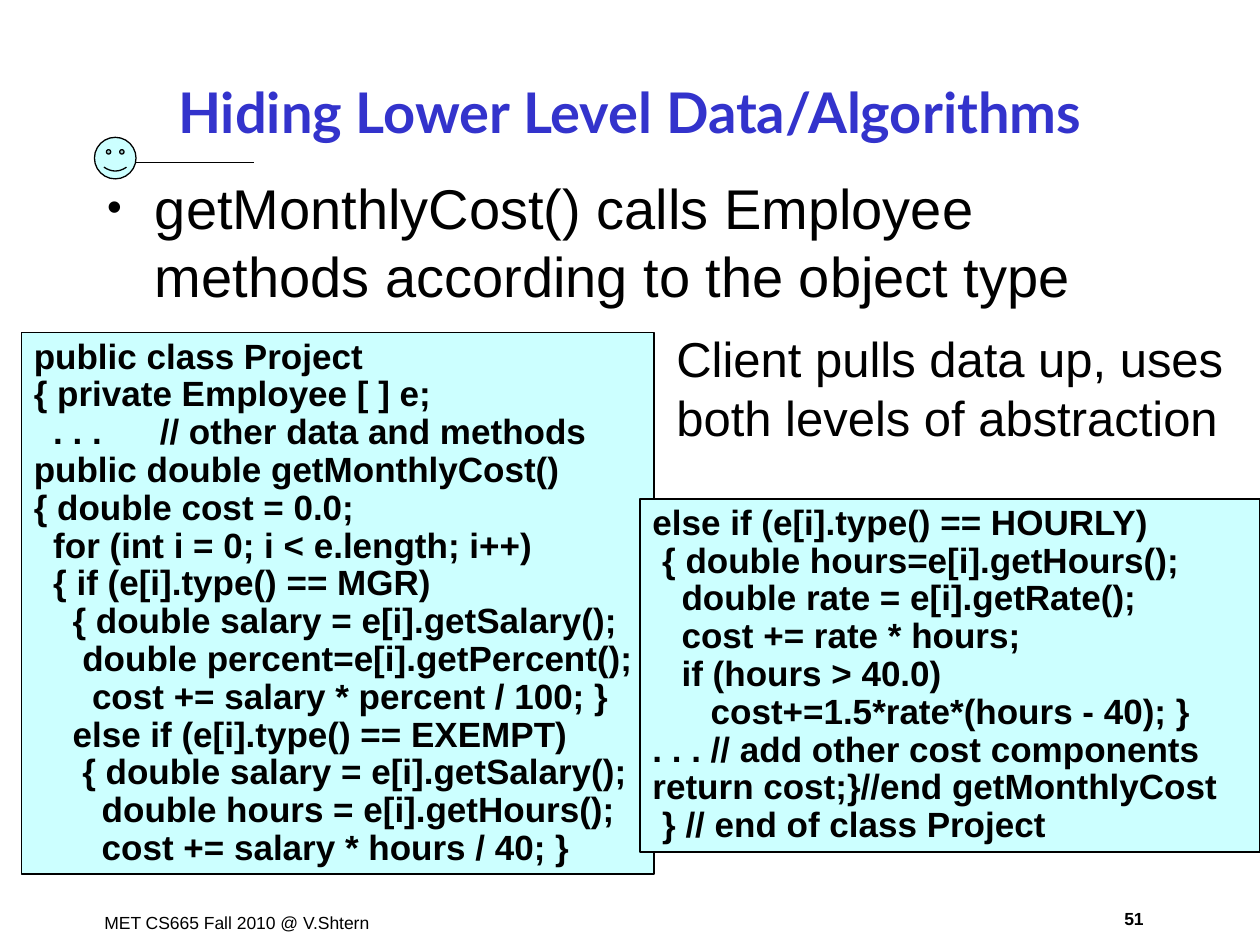
import pptx
import pptx.util
import pptx.dml.color
import pptx.enum.shapes
import pptx.enum.text
import lxml.etree
from dataclasses import dataclass

Inches, Pt = pptx.util.Inches, pptx.util.Pt
Align = pptx.enum.text.PP_ALIGN
Shape = pptx.enum.shapes.MSO_SHAPE


@dataclass(frozen=True)
class Theme:
    ink: str = "000000"
    heading: str = "3333CC"
    panel: str = "CCFFFF"
    title_font: str = "Lato"
    text_font: str = "Arial"
    title_size: int = 32
    body_size: int = 32
    remark_size: int = 28
    code_size: int = 20
    footer_size: int = 10
    code_space: float = 0.077  # width in inches of one space at code_size


THEME = Theme()
TITLE = "Hiding Lower Level Data/Algorithms"
BODY = "getMonthlyCost() calls Employee methods according to the object type"
REMARK = "Client pulls data up, uses both levels of abstraction"
FOOTER = "MET CS665 Fall 2010 @ V.Shtern"
PAGE_NUMBER = "51"

# Each code line is (indent in spaces, text); a tab leads to COMMENT_STOP.
COMMENT_STOP = 1.23
PROJECT_CODE = [
    (0, "public class Project"),
    (0, "{ private Employee [ ] e;"),
    (2, ". . .\t// other data and methods"),
    (0, "public double getMonthlyCost()"),
    (0, "{ double cost = 0.0;"),
    (2, "for (int i = 0; i < e.length; i++)"),
    (2, "{ if (e[i].type() == MGR)"),
    (4, "{ double salary = e[i].getSalary();"),
    (5, "double percent=e[i].getPercent();"),
    (6, "cost += salary * percent / 100; }"),
    (4, "else if (e[i].type() == EXEMPT)"),
    (5, "{ double salary = e[i].getSalary();"),
    (7, "double hours = e[i].getHours();"),
    (7, "cost += salary * hours / 40; }"),
]
HOURLY_CODE = [
    (0, "else if (e[i].type() == HOURLY)"),
    (1, "{ double hours=e[i].getHours();"),
    (3, "double rate = e[i].getRate();"),
    (3, "cost += rate * hours;"),
    (3, "if (hours > 40.0)"),
    (6, "cost+=1.5*rate*(hours - 40); }"),
    (0, ". . . // add other cost components"),
    (0, "return cost;}//end getMonthlyCost"),
    (1, "} // end of class Project"),
]


def color(value):
    return pptx.dml.color.RGBColor.from_string(value)


def inches(*lengths):
    return [Inches(length) for length in lengths]


def place(shape, area):
    shape.left, shape.top, shape.width, shape.height = inches(*area)


def add_xml(parent, tag, **attributes):
    name = pptx.oxml.ns.qn(tag)
    return lxml.etree.SubElement(parent, name, attributes)


def write(para, text, size, font=THEME.text_font, ink=THEME.ink, bold=False):
    span = para.add_run()
    span.text = text
    span.font.size = Pt(size)
    span.font.name = font
    span.font.bold = bold
    span.font.color.rgb = color(ink)


def add_label(page, text, area, size, before, align=Align.LEFT, bold=False):
    box = page.shapes.add_textbox(*inches(*area))
    box.text_frame.word_wrap = True
    para = box.text_frame.paragraphs[0]
    para.alignment = align
    para.space_before = Pt(before)
    write(para, text, size, bold=bold)


def add_panel(page, kind, area, line_width):
    panel = page.shapes.add_shape(kind, *inches(*area))
    panel.shadow.inherit = False
    panel.fill.solid()
    panel.fill.fore_color.rgb = color(THEME.panel)
    panel.line.color.rgb = color(THEME.ink)
    panel.line.width = Pt(line_width)
    return panel


def add_code(page, lines, area):
    frame = add_panel(page, Shape.RECTANGLE, area, 1).text_frame
    frame.word_wrap = True
    frame.vertical_anchor = pptx.enum.text.MSO_ANCHOR.TOP
    for number, (spaces, text) in enumerate(lines):
        para = frame.add_paragraph() if number else frame.paragraphs[0]
        para.alignment = Align.LEFT
        para.line_spacing = 0.9
        props = para._p.get_or_add_pPr()
        props.set("marL", "0")
        props.set("indent", str(Inches(spaces * THEME.code_space)))
        if "\t" in text:
            stops = add_xml(props, "a:tabLst")
            add_xml(stops, "a:tab", pos=str(Inches(COMMENT_STOP)), algn="l")
        write(para, text, THEME.code_size, bold=True)


def add_bullet(para, indent):
    props = para._p.get_or_add_pPr()
    props.set("marL", str(Inches(indent)))
    props.set("indent", str(-Inches(indent)))
    add_xml(add_xml(props, "a:buClr"), "a:srgbClr", val=THEME.ink)
    add_xml(props, "a:buSzPct", val="75000")
    add_xml(props, "a:buFont", typeface=THEME.text_font)
    add_xml(props, "a:buChar", char="•")


def fill_placeholders(page):
    title, body = page.shapes.title, page.placeholders[1]
    place(title, (0.75, 0.48, 8.5, 0.8))
    place(body, (0.75, 1.33, 8.5, 5.76))
    for holder in (title, body):
        holder.text_frame.word_wrap = True
        holder.text_frame.auto_size = pptx.enum.text.MSO_AUTO_SIZE.NONE
    title.text_frame.vertical_anchor = pptx.enum.text.MSO_ANCHOR.MIDDLE
    heading = title.text_frame.paragraphs[0]
    heading.alignment = Align.CENTER
    write(heading, TITLE, THEME.title_size, THEME.title_font, THEME.heading, True)
    point = body.text_frame.paragraphs[0]
    point.space_before = Pt(8)
    add_bullet(point, 0.38)
    write(point, BODY, THEME.body_size)


def add_ornament(page):
    add_panel(page, Shape.SMILEY_FACE, (0.75, 1.09, 0.33, 0.33), 0.75)
    rule = page.shapes.add_connector(
        pptx.enum.shapes.MSO_CONNECTOR.STRAIGHT, *inches(1.08, 1.29, 2.02, 1.29))
    rule.line.color.rgb = color(THEME.ink)
    rule.line.width = Pt(1)
    add_xml(rule._element.spPr, "a:effectLst")


def main():
    deck = pptx.Presentation()
    deck.slide_width, deck.slide_height = inches(10, 7.5)
    page = deck.slides.add_slide(deck.slide_layouts[1])
    fill_placeholders(page)
    add_label(page, FOOTER, (0.73, 7.19, 2.41, 0.27), THEME.footer_size, 6.2)
    add_label(page, PAGE_NUMBER, (8.73, 7.16, 0.54, 0.27), THEME.footer_size,
              6.2, Align.CENTER, True)
    add_ornament(page)
    add_code(page, PROJECT_CODE, (0.17, 2.64, 5.02, 4.3))
    add_code(page, HOURLY_CODE, (5.08, 3.96, 4.92, 2.8))
    add_label(page, REMARK, (5.27, 2.56, 4.6, 1.04), THEME.remark_size, 17.5)
    deck.save("out.pptx")


if __name__ == "__main__":
    main()
